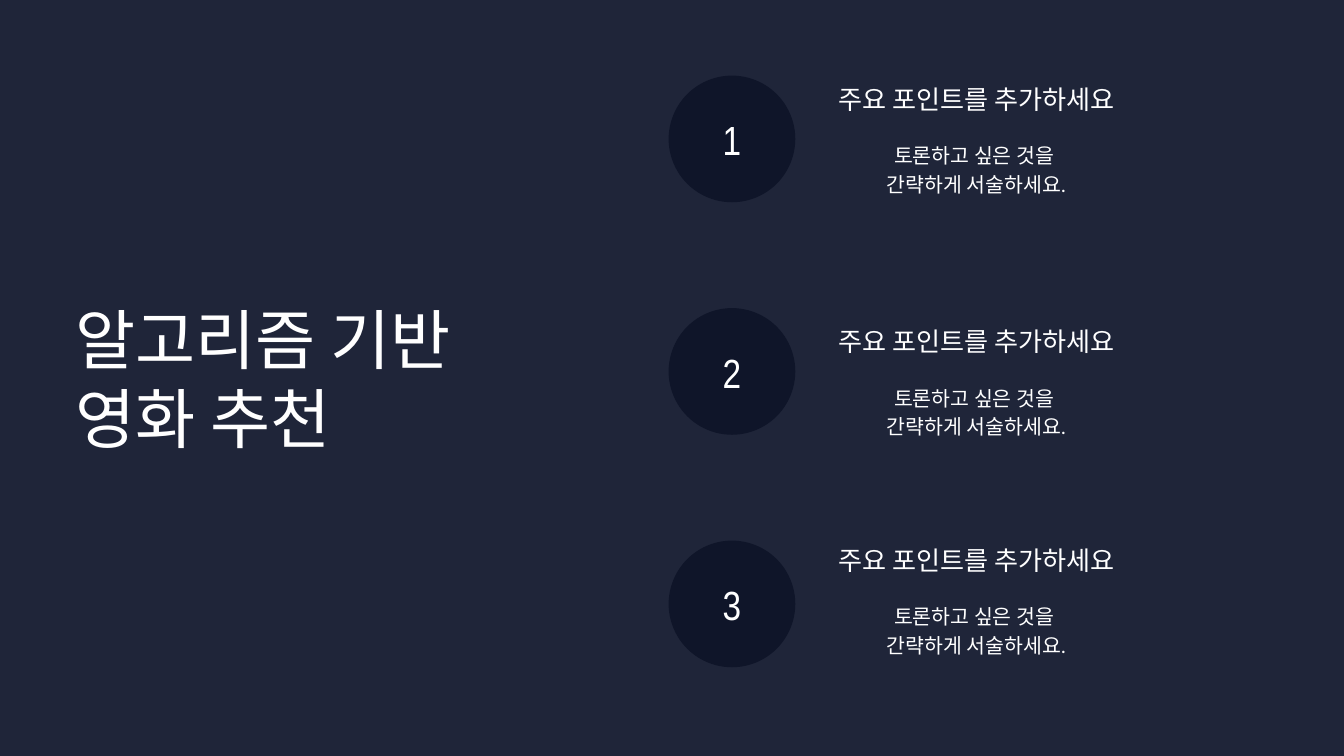
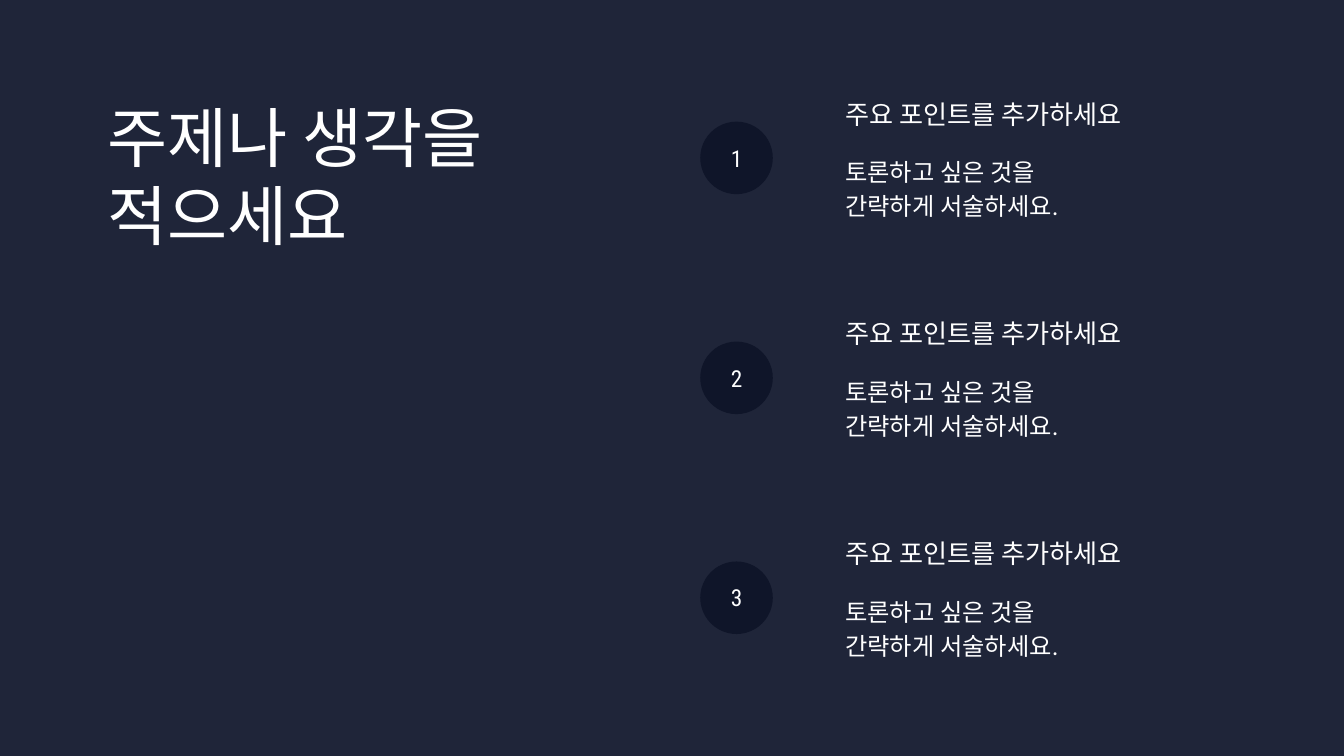
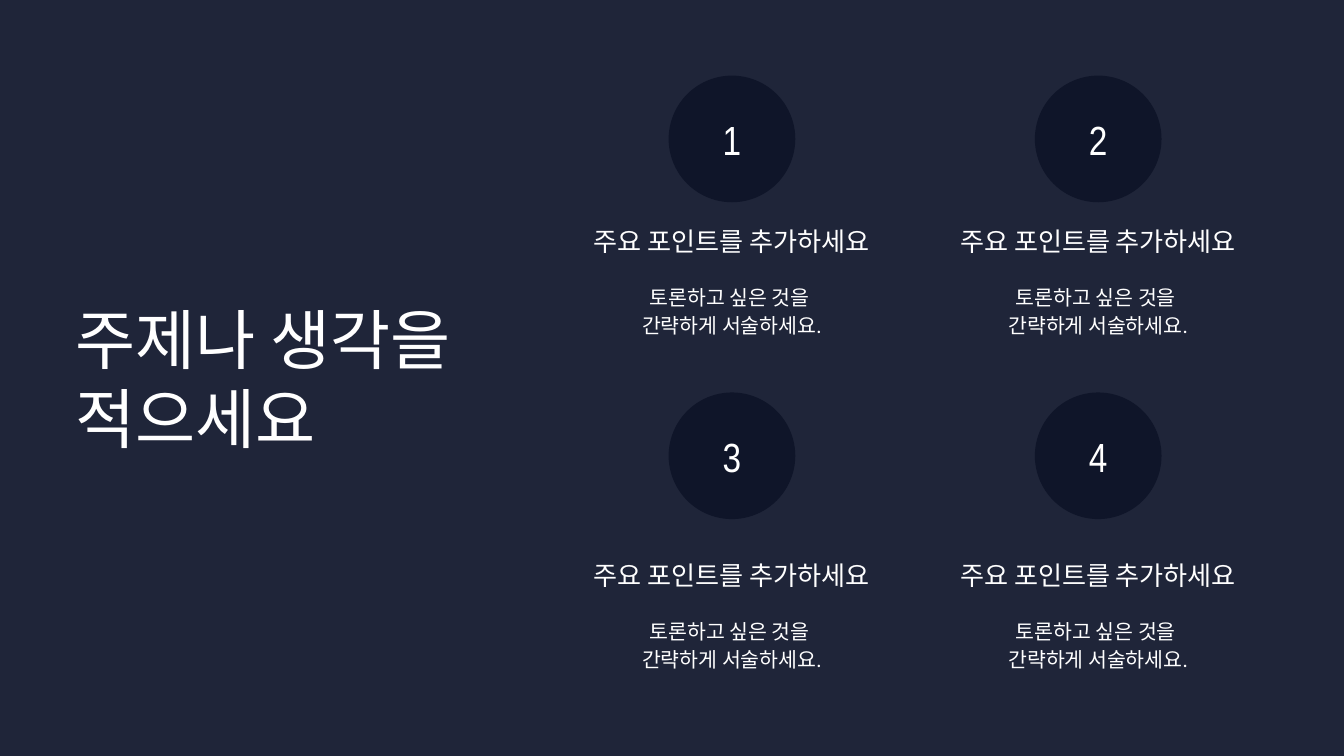
from dataclasses import dataclass
from itertools import product

from pptx import Presentation
from pptx.dml.color import RGBColor as Color
from pptx.enum.shapes import MSO_SHAPE as Shape
from pptx.enum.text import MSO_AUTO_SIZE as AutoSize, PP_ALIGN as Align
from pptx.util import Inches, Pt

COLUMNS, ROWS = 80, 45

HEADING = "주요 포인트를 추가하세요"
BODY = ["토론하고 싶은 것을", "간략하게 서술하세요."]
CENTERED_BODY = ["토론하고 싶은 것을 ", "간략하게 서술하세요."]
TOPIC = ["주제나 생각을 적으세요"]


@dataclass(frozen=True)
class TextStyle:
    font: str
    size: float
    leading: float


@dataclass(frozen=True)
class Theme:
    background: Color = Color.from_string("1F2539")
    circle: Color = Color.from_string("0F1529")
    text: Color = Color.from_string("FFFFFF")
    title: TextStyle = TextStyle("Calibri", 70, 84)
    heading: TextStyle = TextStyle("Calibri", 28, 39.2)
    body: TextStyle = TextStyle("Calibri", 26, 36.4)
    small_body: TextStyle = TextStyle("Calibri", 22, 30.8)
    number: TextStyle = TextStyle("Arial Narrow", 43.6, 52.4)
    small_number: TextStyle = TextStyle("Roboto Condensed", 25, 30)


class Deck:
    def __init__(self, theme):
        self.theme = theme
        self.presentation = Presentation()
        self.presentation.slide_width = Inches(20)
        self.presentation.slide_height = Inches(11.25)
        self.slide = None

    def new_slide(self):
        layout = self.presentation.slide_layouts[6]
        self.slide = self.presentation.slides.add_slide(layout)
        fill = self.slide.background.fill
        fill.solid()
        fill.fore_color.rgb = self.theme.background

    def area(self, left, top, width, height):
        column = self.presentation.slide_width / COLUMNS
        row = self.presentation.slide_height / ROWS
        return (round(left * column), round(top * row),
                round(width * column), round(height * row))

    def text(self, box, lines, style, align=Align.LEFT):
        frame = self.slide.shapes.add_textbox(*self.area(*box)).text_frame
        frame.word_wrap = True
        frame.auto_size = AutoSize.SHAPE_TO_FIT_TEXT
        frame.margin_left = frame.margin_right = 0
        frame.margin_top = frame.margin_bottom = 0
        for index, line in enumerate(lines):
            paragraph = frame.add_paragraph() if index else frame.paragraphs[0]
            paragraph.alignment = align
            paragraph.line_spacing = Pt(style.leading)
            run = paragraph.add_run()
            run.text = line
            run.font.name = style.font
            run.font.size = Pt(style.size)
            run.font.color.rgb = self.theme.text

    def title(self, left, top, width, lines):
        self.text((left, top, width, 9.3), lines, self.theme.title)

    def badge(self, left, top, number, size, label_size, style):
        circle = self.slide.shapes.add_shape(
            Shape.OVAL, *self.area(left, top, size, size))
        circle.shadow.inherit = False
        circle.fill.solid()
        circle.fill.fore_color.rgb = self.theme.circle
        circle.line.fill.background()
        width, height = label_size
        label = (left + (size - width) / 2, top + (size - height) / 2, width, height)
        self.text(label, [str(number)], style, Align.CENTER)

    def large_badge(self, left, top, number):
        self.badge(left, top, number, 7.54, (3.44, 2.88), self.theme.number)

    def small_badge(self, left, top, number):
        self.badge(left, top, number, 4.32, (1.96, 1.68), self.theme.small_number)

    def centered_point(self, left, top):
        width = 17.52
        self.text((left, top, width, 2.16), [HEADING], self.theme.heading, Align.CENTER)
        self.text((left, top + 3.62, width, 3.36), CENTERED_BODY,
                  self.theme.small_body, Align.CENTER)

    def left_point(self, left, top):
        width = 19.2
        self.text((left, top, width, 2.16), [HEADING], self.theme.heading)
        self.text((left, top + 3.56, width, 3.96), BODY, self.theme.body)


def build_recommendation(deck):
    deck.new_slide()
    deck.title(4.5, 17.84, 22.96, ["알고리즘 기반", "영화 추천"])
    for index, point_top in enumerate((4.64, 19.08, 32.08)):
        deck.large_badge(39.8, 4.5 + index * 13.84, index + 1)
        deck.centered_point(49.36, point_top)


def build_topic_list(deck):
    deck.new_slide()
    deck.title(6.4, 5.76, 23.88, TOPIC)
    for index in range(3):
        offset = index * 13.09
        deck.small_badge(41.68, 7.24 + offset, index + 1)
        deck.left_point(50.32, 5.52 + offset)


def build_topic_grid(deck):
    deck.new_slide()
    deck.title(4.5, 17.84, 22.96, TOPIC)
    rows = ((4.5, 13.08), (23.36, 32.96))
    cells = product(rows, (0, 21.8))
    for number, ((badge_top, point_top), offset) in enumerate(cells, 1):
        deck.large_badge(39.8 + offset, badge_top, number)
        deck.centered_point(34.8 + offset, point_top)


def main():
    deck = Deck(Theme())
    build_recommendation(deck)
    build_topic_list(deck)
    build_topic_grid(deck)
    deck.presentation.save("out.pptx")


if __name__ == "__main__":
    main()
